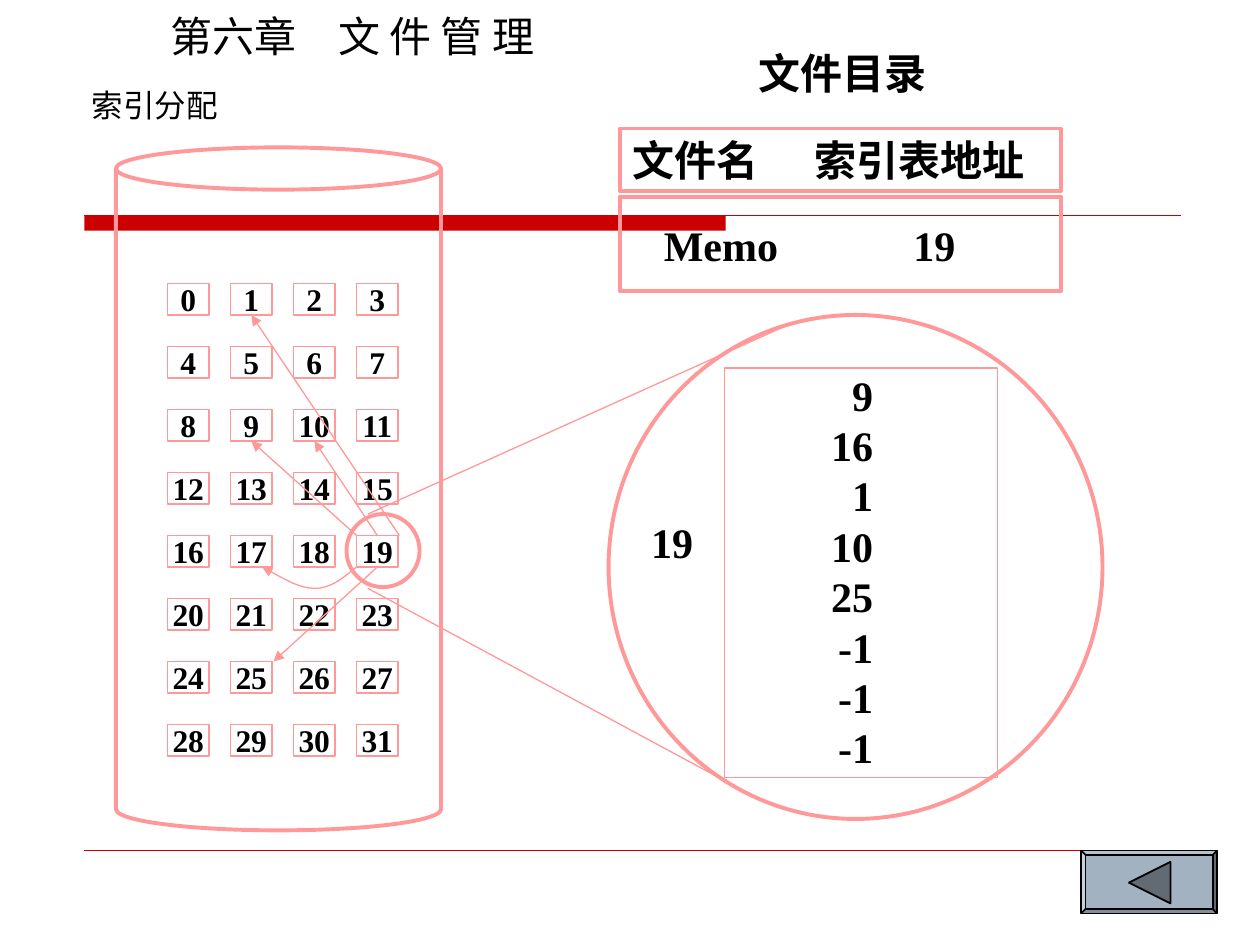
from dataclasses import dataclass
from typing import NamedTuple, Optional

from lxml.etree import SubElement
from pptx import Presentation
from pptx.dml.color import RGBColor
from pptx.enum.shapes import MSO_CONNECTOR as Connector, MSO_SHAPE as Shape
from pptx.enum.text import MSO_ANCHOR as Anchor, MSO_AUTO_SIZE as AutoSize, PP_ALIGN as Align
from pptx.oxml.ns import qn
from pptx.util import Inches, Pt


@dataclass(frozen=True)
class Theme:
    outline: RGBColor = RGBColor(0xFF, 0x99, 0x99)
    accent: RGBColor = RGBColor(0xCC, 0x00, 0x00)
    ink: RGBColor = RGBColor(0x00, 0x00, 0x00)
    button: RGBColor = RGBColor(0xA3, 0xB2, 0xC1)
    button_arrow: RGBColor = RGBColor(0x62, 0x6B, 0x74)
    serif: str = "Times New Roman"
    sans: str = "DejaVu Sans"
    chinese: str = "Noto Sans CJK SC"
    large: int = 24
    small: int = 18
    hairline: float = 0.25
    thin: float = 0.75
    edge: float = 1
    thick: float = 2.25


class Box(NamedTuple):
    left: float
    top: float
    width: float
    height: float

    def inches(self):
        return [Inches(length) for length in self]


class Point(NamedTuple):
    x: float
    y: float


class Site(NamedTuple):
    block: int
    side: int


@dataclass(frozen=True)
class Pointer:
    start: Point
    end: Point
    start_site: Optional[Site] = None
    end_site: Optional[Site] = None


@dataclass(frozen=True)
class Label:
    text: str
    box: Box
    font: str
    size: int
    bold: bool = True
    tab: Optional[float] = None


THEME = Theme()
TOP, BOTTOM = 0, 2
COLUMNS, BLOCKS, PITCH = 4, 32, 0.5
INDEX_ENTRIES = [9, 16, 1, 10, 25, -1, -1, -1]

LABELS = [
    Label("文件目录", Box(5.92, 0.33, 1.53, 0.5), THEME.serif, THEME.large),
    Label("Memo\t19", Box(5.17, 1.69, 2.92, 0.5), THEME.serif, THEME.large, tab=1.98),
    Label("19", Box(5.07, 4.05, 0.53, 0.5), THEME.serif, THEME.large),
    Label("索引分配", Box(0.63, 0.63, 1.2, 0.4), THEME.sans, THEME.small, bold=False),
]
POINTERS = [
    Pointer(Point(3.17, 4.25), Point(2, 2.5), end_site=Site(1, BOTTOM)),
    Pointer(Point(3, 4.25), Point(2.5, 3.5), Site(19, TOP), Site(10, BOTTOM)),
    Pointer(Point(2.83, 4.25), Point(2, 3.5), end_site=Site(9, BOTTOM)),
    Pointer(Point(3, 4.5), Point(2.17, 5.25), start_site=Site(19, BOTTOM)),
]
ZOOM_LINES = [
    (Point(2.92, 4.08), Point(6.25, 2.58)),
    (Point(2.92, 4.67), Point(6, 6.33)),
]
CURVE_TO_17 = [
    Point(2.83, 4.5), Point(2.73, 4.58), Point(2.63, 4.67), Point(2.5, 4.67),
    Point(2.38, 4.67), Point(2.23, 4.58), Point(2.08, 4.5),
]


def style_paragraph(paragraph, font: str, size: int, bold: bool = True) -> None:
    paragraph.font.name = font
    paragraph.font.size = Pt(size)
    paragraph.font.bold = bold
    paragraph.font.color.rgb = THEME.ink
    defaults = paragraph._p.pPr.find(qn("a:defRPr"))
    SubElement(defaults, qn("a:ea")).set("typeface", THEME.chinese)


def add_tab_stop(paragraph, position: float) -> None:
    stops = SubElement(paragraph._p.get_or_add_pPr(), qn("a:tabLst"))
    stop = SubElement(stops, qn("a:tab"))
    stop.set("pos", str(Inches(position)))
    stop.set("algn", "l")


def place(placeholder, box: Box):
    placeholder.left, placeholder.top, placeholder.width, placeholder.height = box.inches()
    frame = placeholder.text_frame
    frame.auto_size = AutoSize.NONE
    frame.word_wrap = False
    frame.vertical_anchor = Anchor.TOP
    return frame


def add_title(slide) -> None:
    frame = place(slide.shapes.title, Box(1.25, 0.03, 3.16, 0.5))
    frame.text = "第六章　文 件 管 理"
    frame.paragraphs[0].alignment = Align.LEFT
    style_paragraph(frame.paragraphs[0], THEME.chinese, THEME.large, bold=False)


def add_index_list(slide) -> None:
    frame = place(slide.placeholders[1], Box(6.48, 2.88, 0.55, 3.3))
    frame.text = "\n".join(map(str, INDEX_ENTRIES))
    for paragraph in frame.paragraphs:
        properties = paragraph._p.get_or_add_pPr()
        properties.set("marL", "0")
        properties.set("indent", "0")
        SubElement(properties, qn("a:buNone"))
        paragraph.alignment = Align.RIGHT
        paragraph.space_before = Pt(0)
        style_paragraph(paragraph, THEME.serif, THEME.large)


def add_label(slide, label: Label) -> None:
    frame = slide.shapes.add_textbox(*label.box.inches()).text_frame
    frame.word_wrap = label.tab is not None
    paragraph = frame.paragraphs[0]
    paragraph.text = label.text
    if label.tab is not None:
        add_tab_stop(paragraph, label.tab)
    style_paragraph(paragraph, label.font, label.size, label.bold)


def add_outline(slide, kind: Shape, box: Box, weight: float):
    shape = slide.shapes.add_shape(kind, *box.inches())
    shape.shadow.inherit = False
    shape.fill.background()
    shape.line.color.rgb = THEME.outline
    shape.line.width = Pt(weight)
    return shape


def add_solid(slide, kind: Shape, box: Box, color: RGBColor):
    shape = slide.shapes.add_shape(kind, *box.inches())
    shape.shadow.inherit = False
    shape.fill.solid()
    shape.fill.fore_color.rgb = color
    shape.line.color.rgb = THEME.ink
    shape.line.width = Pt(THEME.edge)
    return shape


def add_line(slide, start: Point, end: Point, color: RGBColor, weight: float):
    ends = [Inches(length) for length in (*start, *end)]
    line = slide.shapes.add_connector(Connector.STRAIGHT, *ends)
    SubElement(line._element.spPr, qn("a:effectLst"))
    line.line.color.rgb = color
    line.line.width = Pt(weight)
    return line


def add_arrowhead(line) -> None:
    SubElement(line.get_or_add_ln(), qn("a:tailEnd")).set("type", "triangle")


def add_block(slide, number: int):
    row, column = divmod(number, COLUMNS)
    box = Box(1.33 + column * PITCH, 2.25 + row * PITCH, 0.33, 0.25)
    block = add_outline(slide, Shape.RECTANGLE, box, THEME.thin)
    frame = block.text_frame
    frame.word_wrap = False
    frame.margin_top = frame.margin_bottom = 0
    frame.text = str(number)
    frame.paragraphs[0].alignment = Align.CENTER
    style_paragraph(frame.paragraphs[0], THEME.serif, THEME.small)
    return block


def add_pointer(slide, pointer: Pointer, blocks: list) -> None:
    line = add_line(slide, pointer.start, pointer.end, THEME.outline, THEME.thin)
    if pointer.start_site:
        line.begin_connect(blocks[pointer.start_site.block], pointer.start_site.side)
    if pointer.end_site:
        line.end_connect(blocks[pointer.end_site.block], pointer.end_site.side)
    add_arrowhead(line)


def add_curve(slide, points: list) -> None:
    start, *rest = [(Inches(x), Inches(y)) for x, y in points]
    builder = slide.shapes.build_freeform(*start)
    builder.add_line_segments(rest, close=False)
    curve = builder.convert_to_shape()
    curve.shadow.inherit = False
    curve.fill.background()
    curve.line.color.rgb = THEME.outline
    curve.line.width = Pt(THEME.thin)
    outline = next(curve._element.iter(qn("a:path")))
    segments = outline.findall(qn("a:lnTo"))
    for first in range(0, len(segments), 3):
        bezier = SubElement(outline, qn("a:cubicBezTo"))
        for segment in segments[first:first + 3]:
            bezier.append(segment[0])
            outline.remove(segment)
    add_arrowhead(curve)


def add_directory(slide) -> None:
    header = add_outline(slide, Shape.RECTANGLE, Box(4.92, 1.02, 3.5, 0.5), THEME.thick)
    paragraph = header.text_frame.paragraphs[0]
    paragraph.text = "文件名\t索引表地址"
    add_tab_stop(paragraph, 1.45)
    paragraph.alignment = Align.LEFT
    style_paragraph(paragraph, THEME.serif, THEME.large)
    add_outline(slide, Shape.RECTANGLE, Box(4.92, 1.56, 3.5, 0.75), THEME.thick)


def add_back_button(slide) -> None:
    bevel = add_solid(slide, Shape.BEVEL, Box(8.58, 6.75, 1.08, 0.5), THEME.button)
    bevel.adjustments[0] = 0.07
    arrow_box = Box(8.96, 6.84, 0.33, 0.33)
    arrow = add_solid(slide, Shape.ISOSCELES_TRIANGLE, arrow_box, THEME.button_arrow)
    arrow.rotation = 270


def main() -> None:
    deck = Presentation()
    deck.slide_width, deck.slide_height = Inches(10), Inches(7.5)
    slide = deck.slides.add_slide(deck.slide_layouts[1])
    add_title(slide)
    add_index_list(slide)
    bar = add_solid(slide, Shape.RECTANGLE, Box(0.67, 1.71, 5.09, 0.12), THEME.accent)
    bar.line.fill.background()
    add_line(slide, Point(0.67, 1.71), Point(9.37, 1.71), THEME.accent, THEME.thin)
    add_line(slide, Point(0.67, 6.75), Point(9.33, 6.75), THEME.accent, THEME.hairline)
    blocks = [add_block(slide, number) for number in range(BLOCKS)]
    disk = add_outline(slide, Shape.CAN, Box(0.92, 1.17, 2.58, 5.42), THEME.thick)
    disk.adjustments[0] = 0.13
    add_directory(slide)
    add_outline(slide, Shape.OVAL, Box(2.75, 4.08, 0.58, 0.58), THEME.thick)
    for pointer in POINTERS:
        add_pointer(slide, pointer, blocks)
    add_curve(slide, CURVE_TO_17)
    add_outline(slide, Shape.RECTANGLE, Box(5.75, 2.92, 2.17, 3.25), THEME.thin)
    add_outline(slide, Shape.OVAL, Box(4.83, 2.5, 3.92, 4), THEME.thick)
    for start, end in ZOOM_LINES:
        add_line(slide, start, end, THEME.outline, THEME.thin)
    for label in LABELS:
        add_label(slide, label)
    add_back_button(slide)
    deck.save("out.pptx")


if __name__ == "__main__":
    main()
